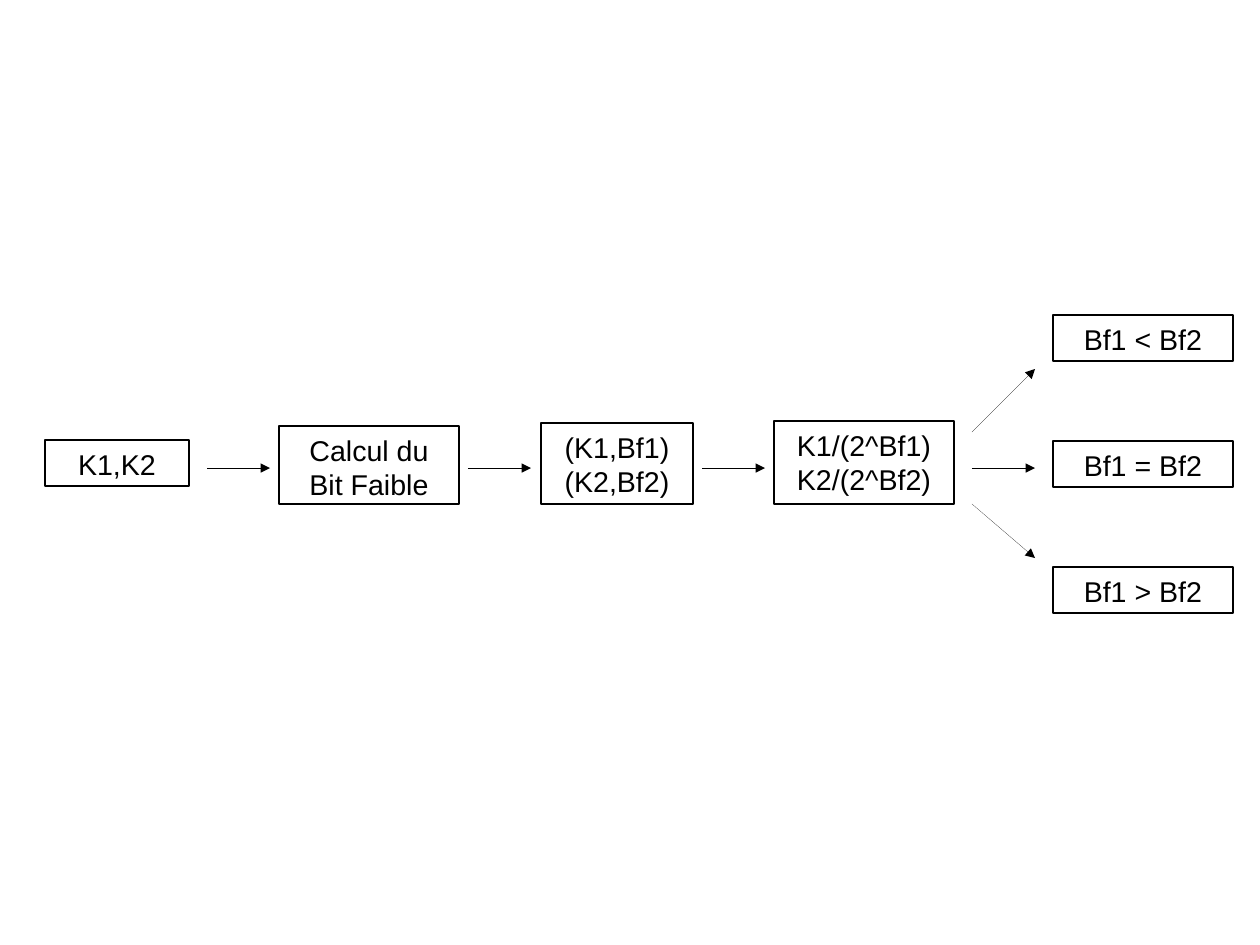
"""Flow chart that compares the low bits of two keys."""
from lxml import etree
from pptx import Presentation
from pptx import util as u
from pptx.dml import color
from pptx.enum import shapes, text
from pptx.oxml import ns

PX = 8000
BLACK = "000000"
AXIS = 468
ARROW_WIDTH = 63
STEPS = [
    (45, 440, 144, 46, ["K1,K2"]),
    (279, 426, 180, 78, ["Calcul du Bit Faible"]),
    (541, 423, 152, 81, ["(K1,Bf1)", "(K2,Bf2)"]),
    (774, 421, 180, 83, ["K1/(2^Bf1)", "K2/(2^Bf2)"]),
]
CASES = ["Bf1 < Bf2", "Bf1 = Bf2", "Bf1 > Bf2"]
STEP_ARROWS = [207, 468, 702]
CASE_ARROWS = [(432, 369), (AXIS, AXIS), (504, 558)]


def px(n):
    """Turn a length in px into EMU."""
    return u.Emu(n * PX)


def rgb(value):
    """Turn a hex string into a colour."""
    return color.RGBColor.from_string(value)


def add_box(s, x, y, w, h, lines):
    """Add an outlined box with centred lines of text."""
    sp = s.shapes.add_shape(shapes.MSO_SHAPE.RECTANGLE, px(x), px(y), px(w), px(h))
    sp.shadow.inherit = False
    sp.fill.background()
    sp.line.color.rgb = rgb(BLACK)
    sp.line.width = u.Pt(1.5)
    tf = sp.text_frame
    tf.word_wrap = True
    tf.vertical_anchor = text.MSO_ANCHOR.TOP
    tf.margin_left = tf.margin_right = px(13)
    tf.margin_top = tf.margin_bottom = px(7)
    for i, line in enumerate(lines):
        p = tf.add_paragraph() if i else tf.paragraphs[0]
        p.alignment = text.PP_ALIGN.CENTER
        r = p.add_run()
        r.text = line
        r.font.name = "Arial"
        r.font.size = u.Pt(18)
        r.font.color.rgb = rgb(BLACK)


def add_arrow(s, x, y1, y2):
    """Add a hairline arrow that runs to the right from y1 to y2."""
    c = s.shapes.add_connector(
        shapes.MSO_CONNECTOR.STRAIGHT, px(x), px(y1), px(x + ARROW_WIDTH), px(y2))
    c.line.color.rgb = rgb(BLACK)
    ln = c._element.spPr.find(ns.qn("a:ln"))
    ln.set("w", "0")
    etree.SubElement(ln, ns.qn("a:tailEnd"), type="triangle")
    etree.SubElement(c._element.spPr, ns.qn("a:effectLst"))


def main():
    """Build the slide and save it."""
    prs = Presentation()
    prs.slide_width, prs.slide_height = px(1260), px(945)
    s = prs.slides.add_slide(prs.slide_layouts[6])
    for step in STEPS:
        add_box(s, *step)
    for i, case in enumerate(CASES):
        add_box(s, 1053, 315 + 126 * i, 180, 46, [case])
    for x in STEP_ARROWS:
        add_arrow(s, x, AXIS, AXIS)
    for y1, y2 in CASE_ARROWS:
        add_arrow(s, 972, y1, y2)
    prs.save("out.pptx")


if __name__ == "__main__":
    main()
